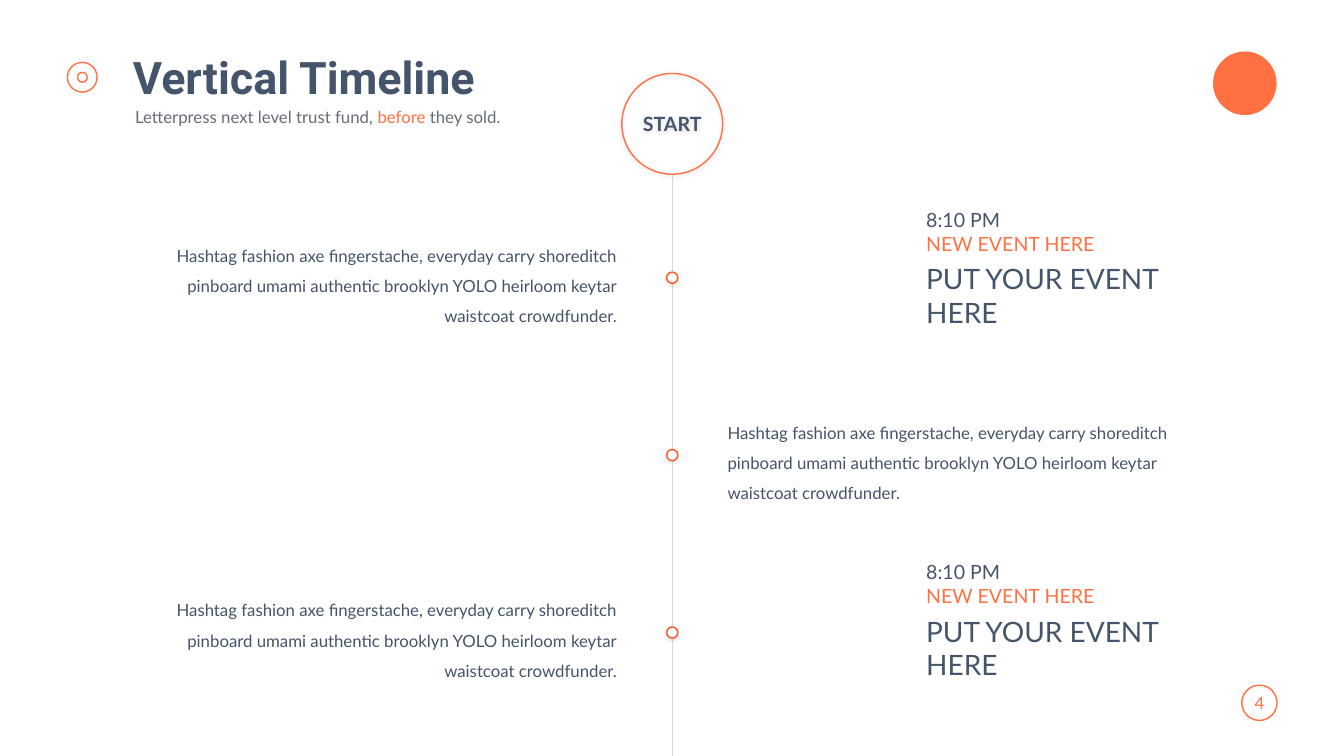
from pptx import Presentation
from pptx.dml.color import RGBColor
from pptx.enum.shapes import MSO_CONNECTOR as Wire, MSO_SHAPE as Kind
from pptx.enum.text import MSO_ANCHOR as Anchor, PP_ALIGN as Align
from pptx.oxml import parse_xml
from pptx.oxml.ns import nsdecls
from pptx.util import Pt

NAVY, CORAL, RED = "44546A", "FF7043", "FF5722"
GREY, PALE, WHITE = "656D78", "D9D9D9", "FFFFFF"
AXIS, FIRST, STEP = 480.2, 198.4, 126.72
STORY = ("Hashtag fashion axe fingerstache, everyday carry shoreditch pinboard "
         "umami authentic brooklyn YOLO heirloom keytar waistcoat crowdfunder.")
SHADE = ('<a:effectLst %s><a:outerShdw blurRad="38100" dist="12700" dir="5400000" '
         'algn="t" rotWithShape="0"><a:srgbClr val="000000"><a:alpha val="15000"/>'
         '</a:srgbClr></a:outerShdw></a:effectLst>') % nsdecls("a")


def tint(color, code):
    color.rgb = RGBColor.from_string(code)


def write(para, text, size, code, face="Lato", bold=False):
    run = para.add_run()
    run.text = text
    font = run.font
    font.size, font.name, font.bold = Pt(size), face, bold
    tint(font.color, code)


def place(item, left, top, width, height):
    item.left, item.top = Pt(left), Pt(top)
    item.width, item.height = Pt(width), Pt(height)


def head(holder, box, runs):
    place(holder, *box)
    frame = holder.text_frame
    frame.vertical_anchor = Anchor.MIDDLE
    para = frame.paragraphs[0]
    para.alignment = Align.LEFT
    para.line_spacing, para.space_before = 0.9, Pt(0)
    props = para._p.get_or_add_pPr()
    props.set("marL", "0")
    props.set("indent", "0")
    props.append(parse_xml("<a:buNone %s/>" % nsdecls("a")))
    for run in runs:
        write(para, *run)


def disc(slide, x, y, size, line=None, fill=None, shade=False):
    shape = slide.shapes.add_shape(
        Kind.OVAL, Pt(x - size / 2), Pt(y - size / 2), Pt(size), Pt(size))
    shape.shadow.inherit = False
    if fill:
        shape.fill.solid()
        tint(shape.fill.fore_color, fill)
    else:
        shape.fill.background()
    if line:
        shape.line.width = Pt(1)
        tint(shape.line.color, line)
    else:
        shape.line.fill.background()
    if shade:
        props = shape._element.spPr
        props.remove(props.find("{*}effectLst"))
        props.append(parse_xml(SHADE))
    return shape


def label(shape, *style, **extra):
    frame = shape.text_frame
    frame.margin_left = frame.margin_right = 0
    frame.margin_top = frame.margin_bottom = 0
    frame.vertical_anchor = Anchor.MIDDLE
    frame.word_wrap = False
    para = frame.paragraphs[0]
    para.alignment = Align.CENTER
    write(para, *style, **extra)


def block(slide, box, rows, align=Align.LEFT, pitch=1.0):
    frame = slide.shapes.add_textbox(*map(Pt, box)).text_frame
    frame.word_wrap = True
    for i, (text, size, code, gap) in enumerate(rows):
        para = frame.add_paragraph() if i else frame.paragraphs[0]
        para.alignment, para.line_spacing = align, pitch
        para.space_before = Pt(gap)
        write(para, text, size, code)


def event(slide, top):
    block(slide, (654.5, top, 208.8, 94.3), [
        ("8:10 PM", 14, NAVY, 0),
        ("NEW EVENT HERE", 14, CORAL, 0),
        ("PUT YOUR EVENT", 20, NAVY, 4.8),
        ("HERE", 20, NAVY, 0)])


def axis(slide):
    line = slide.shapes.add_connector(
        Wire.STRAIGHT, Pt(AXIS), Pt(124.6), Pt(AXIS), Pt(540))
    line.line.width = Pt(0.75)
    tint(line.line.color, PALE)
    line._element.spPr.append(parse_xml("<a:effectLst %s/>" % nsdecls("a")))


def main():
    deck = Presentation()
    deck.slide_width, deck.slide_height = Pt(960), Pt(540)
    slide = deck.slides.add_slide(deck.slide_layouts[1])
    title, body = slide.placeholders
    head(title, (87.8, 38, 725, 38.2),
         [("Vertical Timeline", 32, NAVY, "Roboto", True)])
    head(body, (89.3, 73.6, 723.6, 20.9),
         [("Letterpress next level trust fund, ", 12, GREY),
          ("before", 12, CORAL), (" they sold.", 12, GREY)])

    for size in (21.2, 7):
        disc(slide, 58.8, 55.2, size, CORAL)
    disc(slide, 889.2, 59.5, 45.4, fill=CORAL)
    label(disc(slide, 899.6, 502, 25.2, CORAL), "4", 12, CORAL)

    axis(slide)
    start = disc(slide, AXIS, 88.5, 72, CORAL, shade=True)
    label(start, "START", 14, NAVY, bold=True)
    for i in range(3):
        y = FIRST + i * STEP
        disc(slide, AXIS, y, 8, RED, WHITE, True)
        left, align = (512.6, Align.LEFT) if i % 2 else (115.2, Align.RIGHT)
        block(slide, (left, y - 34, 332.6, 72.7),
              [(STORY, 12, NAVY, 0)], align, 1.5)
    for top in (145, 396.7):
        event(slide, top)
    deck.save("out.pptx")


if __name__ == "__main__":
    main()
